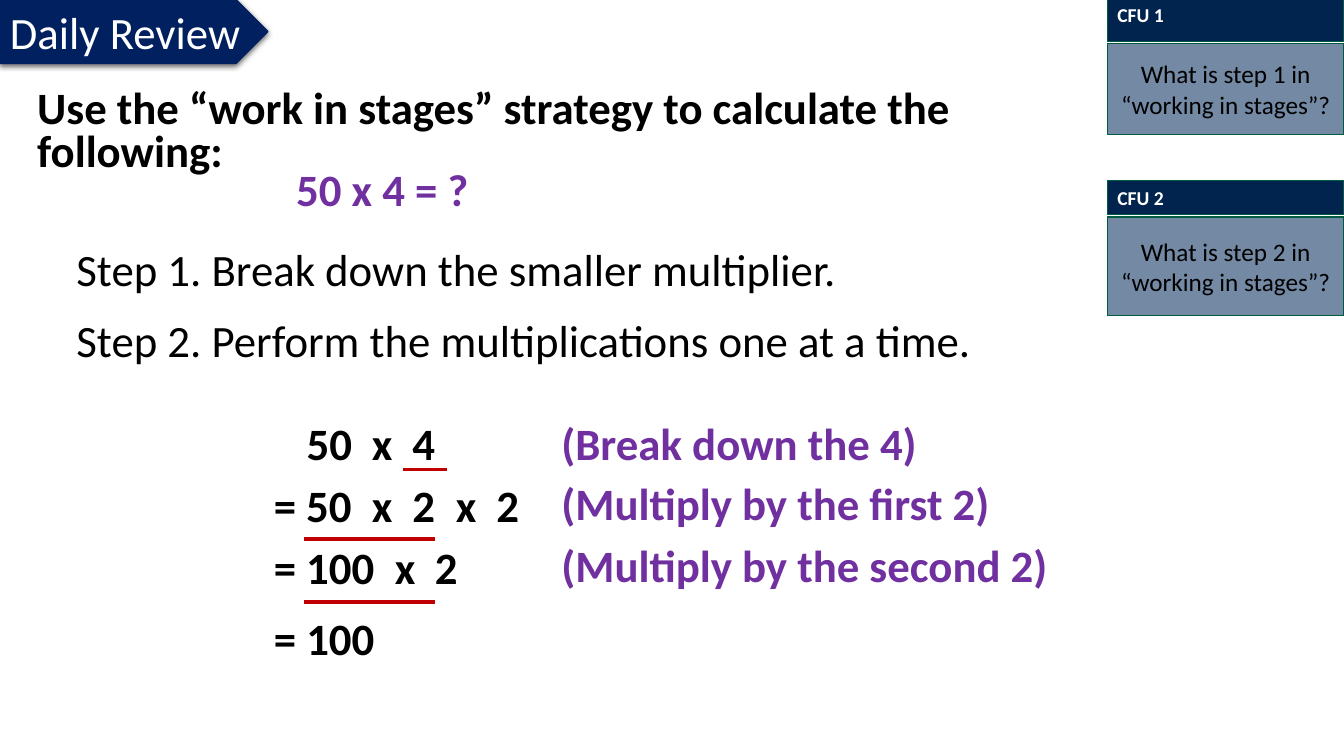
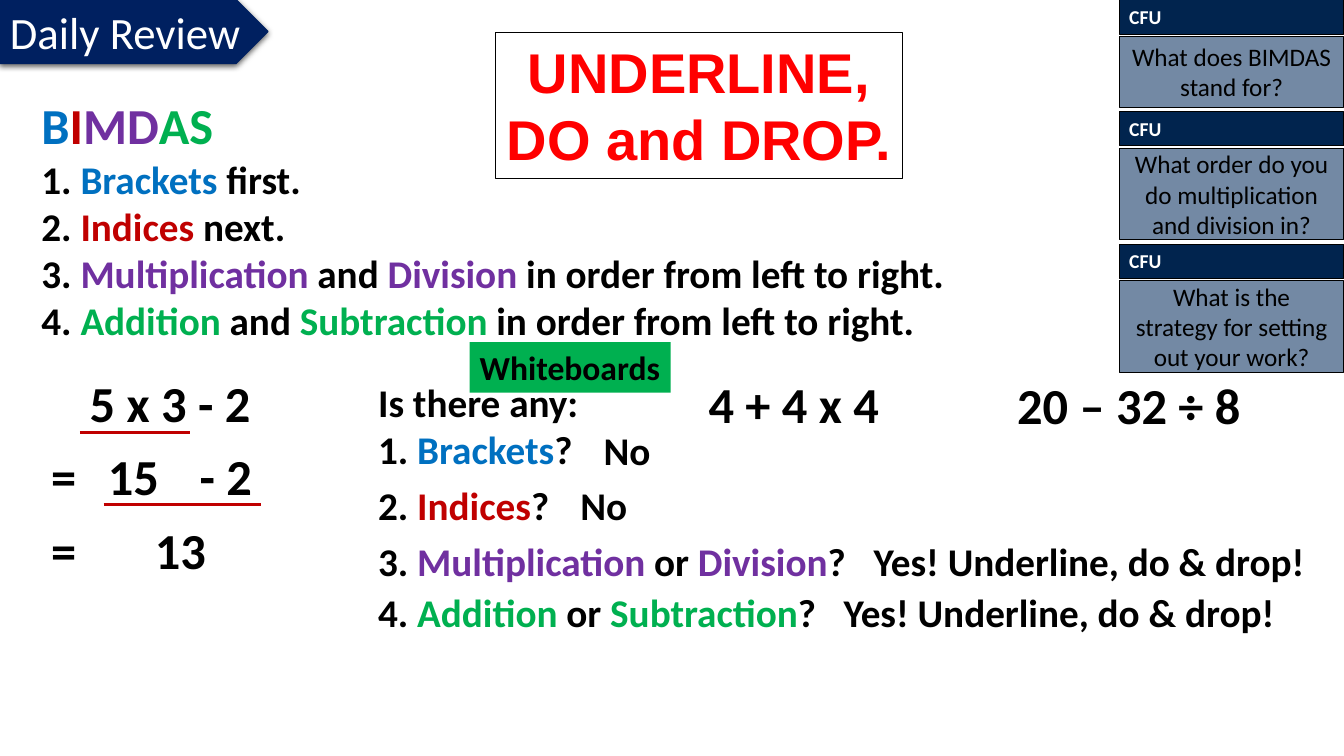
"""Build two Daily Review slides on working in stages and BIMDAS."""
from dataclasses import dataclass
from typing import NamedTuple, Sequence, Union

from lxml.etree import SubElement
from pptx import Presentation
from pptx.dml.color import RGBColor
from pptx.enum.shapes import MSO_CONNECTOR as Connector, MSO_SHAPE as Preset
from pptx.enum.text import MSO_ANCHOR as Anchor, PP_ALIGN as Align
from pptx.oxml.ns import qn
from pptx.util import Pt

SLIDE_WIDTH, SLIDE_HEIGHT = 960, 540
BLACK, WHITE = "000000", "FFFFFF"
BLUE, RED, PURPLE, GREEN = "0070C0", "C00000", "7030A0", "00B050"
BRIGHT_RED, BADGE_NAVY, HEADER_NAVY = "FF0000", "002060", "01244E"
PANEL_NAVY, DARK_GREEN = "163B68", "005C41"


class Term(NamedTuple):
    text: str
    colour: str


class Box(NamedTuple):
    left: float
    top: float
    width: float
    height: float


class Rule(NamedTuple):
    left: float
    right: float
    top: float


Line = Sequence[Union[str, Term]]


@dataclass(frozen=True)
class Style:
    size: float
    colour: str = BLACK
    bold: bool = True
    font: str = "Calibri"
    align: Align = Align.LEFT
    spacing: float = 1.0


@dataclass(frozen=True)
class Label:
    box: Box
    lines: Sequence[Line]
    style: Style
    stops: Sequence[float] = ()


@dataclass(frozen=True)
class Card:
    title: str
    question: str
    top: float
    header_height: float
    panel_height: float


@dataclass(frozen=True)
class CardLook:
    width: float
    outline: str
    panel_line: float


BRACKETS = Term("Brackets", BLUE)
INDICES = Term("Indices", RED)
MULTIPLICATION = Term("Multiplication", PURPLE)
DIVISION = Term("Division", PURPLE)
ADDITION = Term("Addition", GREEN)
SUBTRACTION = Term("Subtraction", GREEN)

HEADING = Style(32, spacing=0.8)
STEP = Style(32, bold=False, spacing=0.9)
WORKING = Style(32, spacing=0.9)
REASON = Style(32, PURPLE, spacing=0.9)
SUM = Style(36, spacing=0.9)
RESULT = Style(36)
LIST = Style(28)
BADGE = Style(32, WHITE, bold=False)
CARD_TITLE = Style(14, WHITE)
CARD_QUESTION = Style(18, bold=False, align=Align.CENTER)
MOTTO = Style(40, BRIGHT_RED, font="Arial", align=Align.CENTER)
WHITEBOARDS = Style(24)


def rgb(colour: str) -> RGBColor:
    """Turn a hex string into a colour."""
    return RGBColor.from_string(colour)


def place(box: Box) -> list:
    """Give the four lengths of a box in points."""
    return [Pt(length) for length in box]


def write(frame, lines: Sequence[Line], style: Style, stops: Sequence[float] = ()) -> None:
    """Fill a text frame with styled lines, colouring the terms."""
    for number, line in enumerate(lines):
        paragraph = frame.add_paragraph() if number else frame.paragraphs[0]
        paragraph.alignment = style.align
        paragraph.line_spacing = style.spacing
        if stops:
            tab_list = SubElement(paragraph._p.get_or_add_pPr(), qn("a:tabLst"))
            for stop in stops:
                SubElement(tab_list, qn("a:tab"), pos=str(int(Pt(stop))), algn="l")
        font = paragraph.font
        font.name, font.size, font.bold = style.font, Pt(style.size), style.bold
        font.color.rgb = rgb(style.colour)
        for part in line:
            run = paragraph.add_run()
            if isinstance(part, Term):
                run.text = part.text
                run.font.color.rgb = rgb(part.colour)
            else:
                run.text = part


def add_label(slide, label: Label) -> None:
    """Add a wrapped text box."""
    frame = slide.shapes.add_textbox(*place(label.box)).text_frame
    frame.word_wrap = True
    write(frame, label.lines, label.style, label.stops)


def add_panel(shapes, box: Box, text: str, style: Style, fill: str = "", outline: str = "",
              weight: float = 0.75, preset: Preset = Preset.RECTANGLE,
              anchor: Anchor = Anchor.TOP, wrap: bool = True):
    """Add a preset shape holding one text."""
    panel = shapes.add_shape(preset, *place(box))
    panel.shadow.inherit = False
    if fill:
        panel.fill.solid()
        panel.fill.fore_color.rgb = rgb(fill)
    else:
        panel.fill.background()
    if outline:
        panel.line.color.rgb = rgb(outline)
        panel.line.width = Pt(weight)
    else:
        panel.line.fill.background()
    panel.text_frame.word_wrap = wrap
    panel.text_frame.vertical_anchor = anchor
    write(panel.text_frame, [[text]], style)
    return panel


def add_rule(slide, rule: Rule) -> None:
    """Underline a part of the working in red."""
    underline = slide.shapes.add_connector(
        Connector.STRAIGHT, Pt(rule.left), Pt(rule.top), Pt(rule.right), Pt(rule.top))
    underline.line.color.rgb = rgb(RED)
    underline.line.width = Pt(2.25)
    SubElement(underline._element.spPr, qn("a:effectLst"))


def add_card(slide, card: Card, look: CardLook) -> None:
    """Add a question card at the right edge."""
    shapes = slide.shapes.add_group_shape().shapes
    left = SLIDE_WIDTH - look.width
    add_panel(shapes, Box(left, card.top, look.width, card.header_height), card.title,
              CARD_TITLE, HEADER_NAVY, look.outline)
    panel_top = card.top + card.header_height + 1.5
    panel = add_panel(shapes, Box(left, panel_top, look.width, card.panel_height), card.question,
                      CARD_QUESTION, PANEL_NAVY, look.outline, look.panel_line,
                      anchor=Anchor.MIDDLE)
    tint = panel._element.spPr.find(qn("a:solidFill"))[0]
    SubElement(tint, qn("a:alpha"), val="60000")


def add_badge(slide) -> None:
    """Add the Daily Review arrow with its soft shadow."""
    badge = add_panel(slide.shapes, Box(0, -0.5, 191.5, 46), "Daily Review", BADGE, BADGE_NAVY,
                      BADGE_NAVY, preset=Preset.PENTAGON, wrap=False)
    effects = badge._element.spPr.find(qn("a:effectLst"))
    shadow = SubElement(effects, qn("a:outerShdw"), blurRad=str(int(Pt(4.5))),
                        dist=str(int(Pt(1.5))), dir="5400000", rotWithShape="0")
    shade = SubElement(shadow, qn("a:srgbClr"), val=BLACK)
    SubElement(shade, qn("a:alpha"), val="63000")


def build_stages(slide) -> None:
    """Build the slide on working in stages."""
    look = CardLook(169, DARK_GREEN, 1)
    add_card(slide, Card("CFU 1", "What is step 1 in “working in stages”?", -1.5, 31, 65), look)
    add_card(slide, Card("CFU 2", "What is step 2 in “working in stages”?", 129, 24.5, 70.5), look)
    heading = "Use the “work in stages” strategy to calculate the following:"
    labels = [
        Label(Box(19.5, 60.5, 759, 72), [[heading]], HEADING),
        Label(Box(204.5, 116, 160, 52), [["50 x 4 = ?"]], REASON),
        Label(Box(47.5, 173.5, 650, 52), [["Step 1. Break down the smaller multiplier."]], STEP),
        Label(Box(47.5, 224.5, 730, 52),
              [["Step 2. Perform the multiplications one at a time."]], STEP),
        Label(Box(212, 297.5, 130, 52), [["50\tx\t4"]], WORKING, (46.5, 75.5)),
        Label(Box(188.5, 342, 205, 52), [["= 50\tx\t2\tx\t2"]], WORKING, (70, 99, 130, 159)),
        Label(Box(188.5, 386.5, 205, 52), [["= 100\tx\t2"]], WORKING, (86.5, 115)),
        Label(Box(188.5, 437, 110, 52), [["= 100"]], WORKING),
    ]
    reasons = ((297.5, "(Break down the 4)"), (340.5, "(Multiply by the first 2)"),
               (385, "(Multiply by the second 2)"))
    labels += [Label(Box(394, top, 366, 52), [[reason]], REASON) for top, reason in reasons]
    for label in labels:
        add_label(slide, label)
    for rule in (Rule(288, 319.5, 335.5), Rule(217.5, 311, 385), Rule(217.5, 311, 430)):
        add_rule(slide, rule)
    add_badge(slide)


def build_bimdas(slide) -> None:
    """Build the slide on the order of operations."""
    acronym = [Term("B", BLUE), Term("I", RED), Term("MD", PURPLE), Term("AS", GREEN)]
    order = [
        ["1. ", BRACKETS, " first."],
        ["2. ", INDICES, " next."],
        ["3. ", MULTIPLICATION, " and ", DIVISION, " in order from left to right."],
        ["4. ", ADDITION, " and ", SUBTRACTION, " in order from left to right."],
    ]
    yes = "Yes! Underline, do & drop!"
    labels = [
        Label(Box(22.5, 63.5, 712, 51), [acronym], RESULT),
        Label(Box(22.5, 107.5, 712, 144), order, LIST),
        Label(Box(263, 267, 356, 75), [["Is there any:"], ["1. ", BRACKETS, "?"]], LIST),
        Label(Box(263, 340.5, 356, 41), [["2. ", INDICES, "?"]], LIST),
        Label(Box(263, 380, 356, 41), [["3. ", MULTIPLICATION, " or ", DIVISION, "?"]], LIST),
        Label(Box(263, 417, 356, 41), [["4. ", ADDITION, " or ", SUBTRACTION, "?"]], LIST),
        Label(Box(424, 301, 54, 41), [["No"]], LIST),
        Label(Box(407.5, 340.5, 54, 41), [["No"]], LIST),
        Label(Box(617, 380.5, 343, 41), [[yes]], LIST),
        Label(Box(595.5, 417, 343, 41), [[yes]], LIST),
        Label(Box(57, 267, 165, 62), [["5 x 3 - 2"]], SUM),
        Label(Box(499, 268, 203, 52), [["4 + 4 x 4"]], SUM),
        Label(Box(719.5, 268.5, 195, 51), [["20 – 32 ÷ 8"]], SUM),
    ]
    results = ((29.5, 314.5, "="), (70, 314.5, "15"), (135.5, 314.5, "- 2"),
               (29.5, 367, "="), (103.5, 367, "13"))
    labels += [Label(Box(left, top, 53, 51), [[text]], RESULT) for left, top, text in results]
    for label in labels:
        add_label(slide, label)
    add_panel(slide.shapes, Box(354, 23, 290.5, 104.5), "UNDERLINE, DO and DROP.", MOTTO,
              outline=BLACK)
    for rule in (Rule(57, 135.5, 309), Rule(74, 186.5, 360.5)):
        add_rule(slide, rule)
    questions = (("What does BIMDAS stand for?", 50.5),
                 ("What order do you do multiplication and division in?", 65.5),
                 ("What is the strategy for setting out your work?", 65.5))
    top, header_height = 0.0, 24.5
    for question, panel_height in questions:
        add_card(slide, Card("CFU", question, top, header_height, panel_height),
                 CardLook(160.5, BLACK, 0.75))
        top += header_height + panel_height + 4.75
    add_badge(slide)
    add_panel(slide.shapes, Box(335.5, 244.5, 143.5, 36), "Whiteboards", WHITEBOARDS, GREEN,
              wrap=False)


def main() -> None:
    """Build and save the presentation."""
    deck = Presentation()
    deck.slide_width, deck.slide_height = Pt(SLIDE_WIDTH), Pt(SLIDE_HEIGHT)
    for build in (build_stages, build_bimdas):
        build(deck.slides.add_slide(deck.slide_layouts[6]))
    deck.save("out.pptx")


if __name__ == "__main__":
    main()
